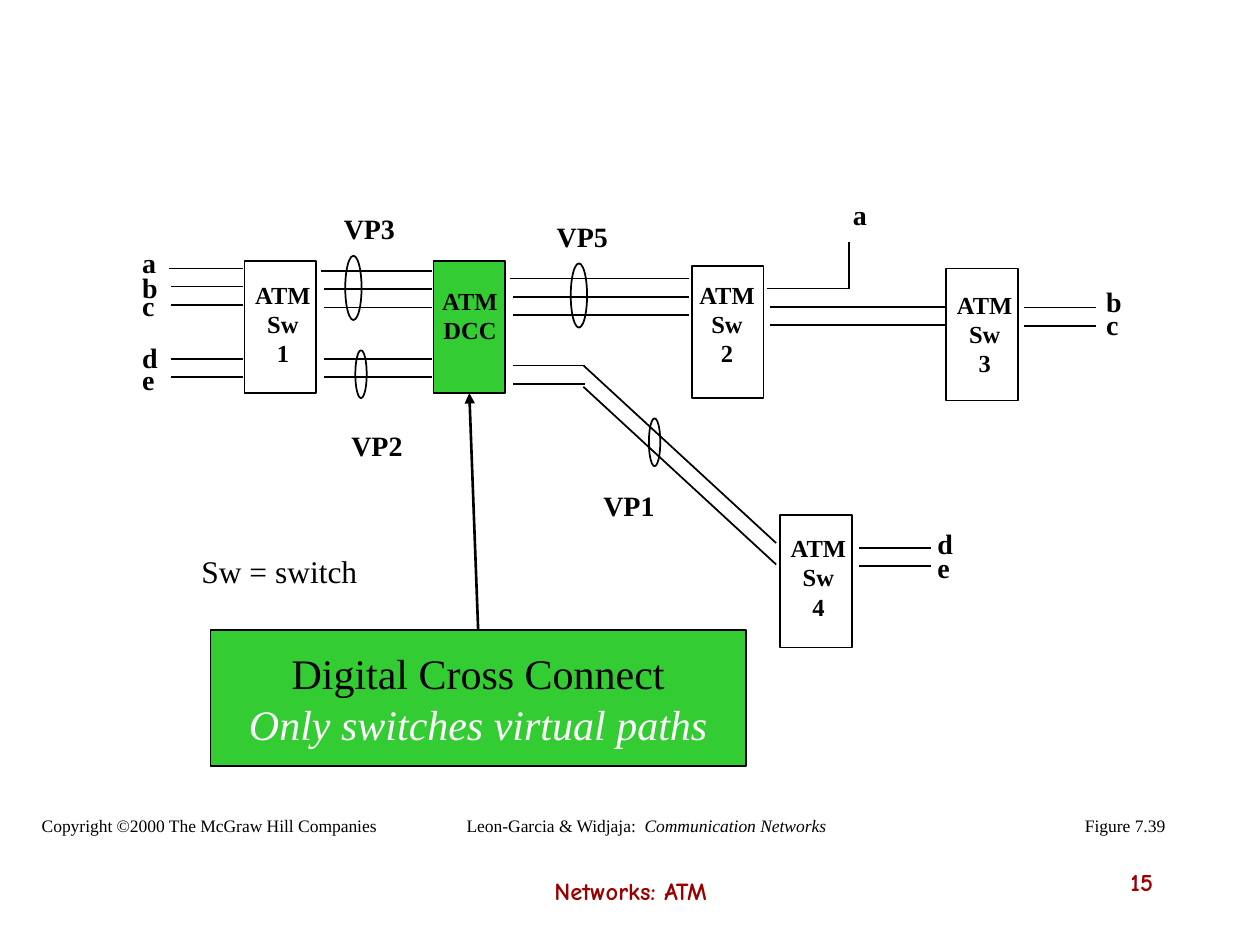
import pptx
import pptx.util
import pptx.dml.color
import pptx.enum.shapes
import pptx.enum.text
import pptx.oxml
import pptx.oxml.ns

Inches = pptx.util.Inches
Pt = pptx.util.Pt
ALIGN = pptx.enum.text.PP_ALIGN
ANCHOR = pptx.enum.text.MSO_ANCHOR
SHAPE = pptx.enum.shapes.MSO_SHAPE

COLORS = {"ink": "000000", "green": "33CC33", "white": "FFFFFF", "red": "990000"}
SERIF = "Times New Roman"
HAND = "Comic Neue"
LINE_GAP = 0.29 / 2
SLOPE_GAP = 0.17
SWITCH_SIZE = (0.57, 1.05)


def color(name):
    return pptx.dml.color.RGBColor.from_string(COLORS[name])


def write(frame, paragraphs, size=16, font=SERIF, ink="ink", bold=False,
          align=ALIGN.LEFT, anchor=ANCHOR.TOP, wrap=False):
    """Fill a frame; each paragraph is a list of (text, overrides) spans."""
    frame.word_wrap = wrap
    frame.vertical_anchor = anchor
    for index, spans in enumerate(paragraphs):
        para = frame.paragraphs[0] if index == 0 else frame.add_paragraph()
        para.alignment = align
        for text, overrides in spans:
            span = para.add_run()
            span.text = text
            span.font.name = font
            span.font.size = Pt(size)
            span.font.bold = bold
            span.font.italic = overrides.get("italic", False)
            span.font.color.rgb = color(overrides.get("ink", ink))


def add_text(page, left, top, width, height, *lines, **style):
    box = page.shapes.add_textbox(*map(Inches, (left, top, width, height)))
    write(box.text_frame, [[(line, {})] if isinstance(line, str) else line
                           for line in lines], **style)


def add_outline(page, kind, left, top, width, height, fill=None, weight=1):
    shape = page.shapes.add_shape(kind, *map(Inches, (left, top, width, height)))
    shape.shadow.inherit = False
    if fill:
        shape.fill.solid()
        shape.fill.fore_color.rgb = color(fill)
    else:
        shape.fill.background()
    shape.line.color.rgb = color("ink")
    shape.line.width = Pt(weight)
    return shape


def add_line(page, x1, y1, x2, y2, weight=1):
    line = page.shapes.add_connector(
        pptx.enum.shapes.MSO_CONNECTOR.STRAIGHT, *map(Inches, (x1, y1, x2, y2)))
    line.line.color.rgb = color("ink")
    line.line.width = Pt(weight)
    properties = line._element.spPr
    properties.append(pptx.oxml.parse_xml(
        "<a:effectLst %s/>" % pptx.oxml.ns.nsdecls("a")))
    return line


def add_bundle(page, left, top, width, count):
    """Parallel lines; the first of three starts a little further left."""
    for index in range(count):
        start = left - 0.02 if count == 3 and index == 0 else left
        y = top + index * LINE_GAP
        add_line(page, start, y, left + width, y)


def add_switch(page, left, top, lines, label, fill=None):
    """A node; label is (x offset, y offset, width) of its caption."""
    node = add_outline(page, SHAPE.RECTANGLE, left, top, *SWITCH_SIZE, fill=fill)
    dx, dy, width = label
    add_text(page, left + dx, top + dy, width, 0.8, *lines,
             size=14, bold=True, align=ALIGN.CENTER, wrap=True)
    return node


def add_terminals(page, left, top, label_dx, labels):
    """Access lines, with one letter for each at its offset from the top line."""
    add_bundle(page, left, top, 0.57, len(labels))
    for letter, dy in labels:
        add_text(page, left + label_dx, top + dy, 0.31, 0.36, letter, bold=True)


def add_virtual_path(page, left, top, width, count, ring, label, name, slope=None):
    """Channels, the ring that ties them, and the name of the path."""
    add_bundle(page, left, top, width, count)
    if slope:
        bend = left + width - 0.01
        for index in range(count):
            y = top + index * SLOPE_GAP
            add_line(page, bend, y, bend + slope[0], y + slope[1])
    ring_size = (0.13, 0.51) if count == 3 else (0.09, 0.38)
    add_outline(page, SHAPE.OVAL, left + ring[0], top + ring[1], *ring_size)
    add_text(page, left + label[0], top + label[1], 0.61, 0.36, name, bold=True)


def add_switch_2_output(page, left, top):
    """Channel a leaves upwards, channels b and c run on to switch 3."""
    corner = left + 0.65
    add_line(page, left, top, corner, top)
    add_line(page, corner, top, corner, top - 0.37)
    add_text(page, corner - 0.07, top - 0.77, 0.31, 0.36, "a", bold=True)
    add_bundle(page, left + 0.02, top + LINE_GAP, 1.41, 2)


def add_callout(page, left, top, width, height, target):
    panel = add_outline(page, SHAPE.RECTANGLE, left, top, width, height,
                        fill="green", weight=0.75)
    write(panel.text_frame,
          [[("Digital Cross Connect", {})],
           [("Only switches virtual paths", {"italic": True, "ink": "white"})]],
          size=24, align=ALIGN.CENTER, anchor=ANCHOR.MIDDLE)
    arrow = add_line(page, left + width / 2, top, left + width / 2, top - 1, 1.5)
    arrow.begin_connect(panel, 0)
    arrow.end_connect(target, 2)
    arrow.line._get_or_add_ln().append(pptx.oxml.parse_xml(
        '<a:tailEnd type="triangle" %s/>' % pptx.oxml.ns.nsdecls("a")))


def add_footer(page, left, top):
    credits = [
        (0, 2.86, "Copyright ©2000 The McGraw Hill Companies"),
        (3.37, 3.06, [("Leon-Garcia & Widjaja:  ", {}),
                      ("Communication Networks", {"italic": True})]),
        (8.28, 0.84, "Figure 7.39"),
    ]
    for dx, width, line in credits:
        add_text(page, left + dx, top, width, 0.27, line, size=10,
                 align=ALIGN.CENTER, anchor=ANCHOR.MIDDLE)
    course = {"size": 14, "font": HAND, "ink": "red", "bold": True, "wrap": True}
    add_text(page, left + 3.19, top + 0.48, 3.17, 0.42, "Networks: ATM",
             align=ALIGN.CENTER, **course)
    add_text(page, left + 6.94, top + 0.41, 2.08, 0.5, "15",
             align=ALIGN.RIGHT, **course)


def add_network(page):
    """Draw switches, terminals and paths; return the cross connect."""
    switches = [
        (1.94, 2.07, "1", (-0.02, 0.1, 0.65)),
        (5.49, 2.11, "2", (-0.13, 0.06, 0.82)),
        (7.51, 2.13, "3", (-0.07, 0.12, 0.75)),
        (6.19, 4.09, "4", (-0.07, 0.09, 0.75)),
    ]
    for left, top, number, label in switches:
        add_switch(page, left, top, ("ATM", "Sw", number), label)
    cross_connect = add_switch(page, 3.44, 2.07, ("ATM", "DCC"),
                               (-0.09, 0.15, 0.76), fill="green")

    add_terminals(page, 1.36, 2.13, -0.33, [("a", -0.23), ("b", -0.03), ("c", 0.11)])
    add_terminals(page, 1.36, 2.85, -0.33, [("d", -0.2), ("e", -0.02)])
    add_terminals(page, 8.13, 2.44, 0.55, [("b", -0.23), ("c", -0.05)])
    add_terminals(page, 6.82, 4.35, 0.52, [("d", -0.22), ("e", -0.03)])

    add_virtual_path(page, 2.57, 2.15, 0.86, 3, (0.17, -0.12), (0.06, -0.52), "VP3")
    add_virtual_path(page, 4.07, 2.21, 1.4, 3, (0.46, -0.12), (0.25, -0.52), "VP5")
    add_virtual_path(page, 2.57, 2.85, 0.86, 2, (0.25, -0.07), (0.12, 0.5), "VP2")
    add_virtual_path(page, 4.07, 2.9, 0.57, 2, (1.08, 0.42), (0.62, 0.93), "VP1",
                     slope=(1.53, 1.41))
    add_switch_2_output(page, 6.09, 2.29)
    return cross_connect


def main():
    deck = pptx.Presentation()
    deck.slide_width = Inches(10)
    deck.slide_height = Inches(7.5)
    page = deck.slides.add_slide(deck.slide_layouts[6])
    cross_connect = add_network(page)
    add_text(page, 1.5, 4.33, 2.26, 0.4, "Sw = switch", size=18, wrap=True)
    add_callout(page, 1.67, 5, 4.25, 1.08, cross_connect)
    add_footer(page, 0.23, 6.42)
    deck.save("out.pptx")


if __name__ == "__main__":
    main()
